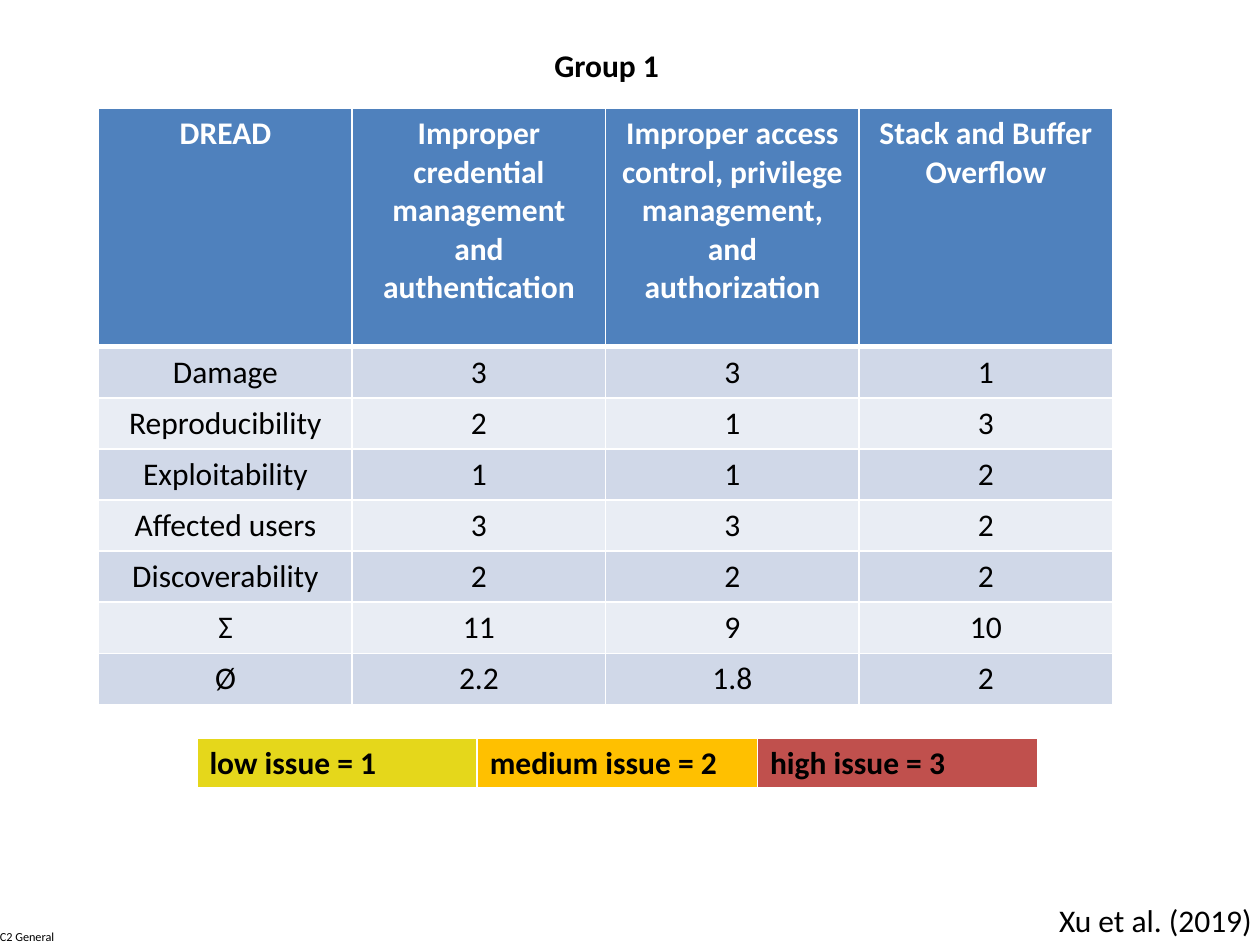
from dataclasses import dataclass

from lxml.etree import SubElement
from pptx import Presentation
from pptx.dml.color import RGBColor as Rgb
from pptx.enum.text import MSO_ANCHOR as Anchor, MSO_AUTO_SIZE as AutoSize, PP_ALIGN as Align
from pptx.oxml.ns import qn
from pptx.util import Cm, Pt


@dataclass(frozen=True)
class Theme:
    """Fonts, type sizes in points and colours of the slide."""
    font: str = "Calibri"
    text_size: int = 18
    label_size: int = 7
    black: str = "000000"
    white: str = "FFFFFF"
    header: str = "4F81BD"
    bands: tuple = ("D0D8E8", "E9EDF4")
    low: str = "E5D71B"
    medium: str = "FFC000"
    high: str = "C0504D"


THEME = Theme()

SCORES = [
    ("DREAD", "Improper credential management and authentication",
     "Improper access control, privilege management, and authorization",
     "Stack and Buffer Overflow"),
    ("Damage", "3", "3", "1"),
    ("Reproducibility", "2", "1", "3"),
    ("Exploitability", "1", "1", "2"),
    ("Affected users", "3", "3", "2"),
    ("Discoverability", "2", "2", "2"),
    ("Σ", "11", "9", "10"),
    ("Ø", "2.2", "1.8", "2"),
]
LEGEND = [("low issue = 1", "medium issue = 2", "high issue = 3")]


def write_text(frame, text, size=THEME.text_size, color=THEME.black, bold=False, align=Align.LEFT):
    """Put one formatted paragraph into a text frame."""
    para = frame.paragraphs[0]
    para.alignment = align
    span = para.add_run()
    span.text = text
    span.font.name = THEME.font
    span.font.size = Pt(size)
    span.font.bold = bold
    span.font.color.rgb = Rgb.from_string(color)


def add_label(slide, text, left, top, width, height, margin=None, **text_format):
    """Add an unwrapped text box."""
    frame = slide.shapes.add_textbox(Cm(left), Cm(top), Cm(width), Cm(height)).text_frame
    frame.word_wrap = False
    frame.auto_size = AutoSize.SHAPE_TO_FIT_TEXT
    if margin is not None:
        frame.margin_left = frame.margin_right = Cm(margin)
        frame.margin_top = frame.margin_bottom = Cm(margin)
    write_text(frame, text, **text_format)


def set_title(slide, text, left, top, width, height):
    """Place and format the title placeholder."""
    title = slide.shapes.title
    title.left, title.top, title.width, title.height = map(Cm, (left, top, width, height))
    frame = title.text_frame
    frame.word_wrap = False
    frame.auto_size = AutoSize.NONE
    frame.vertical_anchor = Anchor.TOP
    write_text(frame, text, bold=True, align=Align.CENTER)


def set_borders(cell, bottom_width):
    """Draw white borders round a cell."""
    properties = cell._tc.get_or_add_tcPr()
    for position, side in enumerate(("lnL", "lnR", "lnT", "lnB")):
        width = bottom_width if side == "lnB" else 1
        line = SubElement(properties, qn(f"a:{side}"), w=str(Pt(width)))
        fill = SubElement(line, qn("a:solidFill"))
        SubElement(fill, qn("a:srgbClr"), val=THEME.white)
        properties.insert(position, line)


def add_grid(slide, rows, left, top, column_width, row_heights, cell_style):
    """Add a table whose cell_style gives fill, bottom border and text format."""
    width, height = Cm(column_width * len(rows[0])), Cm(sum(row_heights))
    table = slide.shapes.add_table(len(rows), len(rows[0]), Cm(left), Cm(top), width, height).table
    for column in table.columns:
        column.width = Cm(column_width)
    for row_index, row in enumerate(rows):
        table.rows[row_index].height = Cm(row_heights[row_index])
        for column_index, text in enumerate(row):
            cell = table.cell(row_index, column_index)
            color, bottom_width, text_format = cell_style(row_index, column_index)
            cell.fill.solid()
            cell.fill.fore_color.rgb = Rgb.from_string(color)
            set_borders(cell, bottom_width)
            write_text(cell.text_frame, text, **text_format)


def score_style(row, column):
    """Style the header row and the banded score rows."""
    if row == 0:
        return THEME.header, 3, dict(color=THEME.white, bold=True, align=Align.CENTER)
    return THEME.bands[(row - 1) % 2], 1, dict(align=Align.CENTER)


def legend_style(row, column):
    """Style the legend cells by severity."""
    return (THEME.low, THEME.medium, THEME.high)[column], 3, dict(bold=True)


def main():
    """Build and save the slide."""
    deck = Presentation()
    deck.slide_width, deck.slide_height = Cm(25.4), Cm(19.05)
    slide = deck.slides.add_slide(deck.slide_layouts[5])
    add_label(slide, "C2 General", 0, 18.74, 1.17, 0.3, margin=0, size=THEME.label_size)
    add_grid(slide, SCORES, 1.99, 2.19, 5.11, [4.8] + [1.03] * 7, score_style)
    add_grid(slide, LEGEND, 3.97, 14.88, 5.65, [1.03], legend_style)
    add_label(slide, "Xu et al. (2019)", 21.1, 18.03, 4.44, 1.03)
    set_title(slide, "Group 1", 10.92, 0.8, 2.62, 1.03)
    deck.save("out.pptx")


main()
